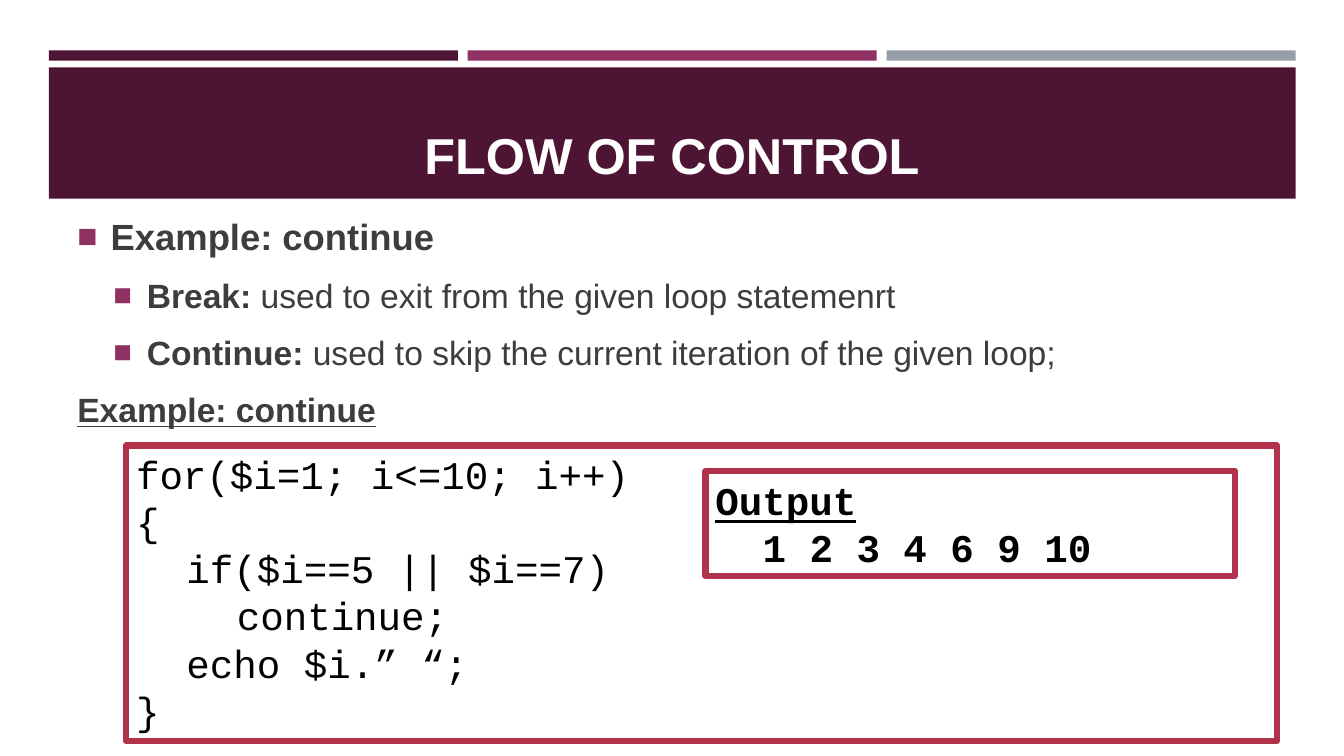
from lxml import etree
from pptx import Presentation
from pptx.dml.color import RGBColor
from pptx.enum.shapes import MSO_SHAPE
from pptx.enum.text import MSO_ANCHOR, PP_ALIGN
from pptx.oxml.ns import qn
from pptx.util import Cm, Pt

PLUM = RGBColor(0x4D, 0x14, 0x34)
MAGENTA = RGBColor(0x90, 0x31, 0x63)
GREY = RGBColor(0x96, 0x9F, 0xA7)
CRIMSON = RGBColor(0xB2, 0x32, 0x4B)
DARK = RGBColor(0x3D, 0x3D, 0x3D)
WHITE = RGBColor(0xFF, 0xFF, 0xFF)
BLACK = RGBColor(0, 0, 0)

CODE = [
    "for($i=1; i<=10; i++)",
    "{",
    "\tif($i==5 || $i==7)",
    "\t\tcontinue;",
    "\techo $i.” “;",
    "}",
]
# Each point: hanging level (None for no bullet), size, runs of (text, format)
POINTS = [
    (0, 26, [("Example: continue", {"bold": True})]),
    (1, 24, [("Break: ", {"bold": True}),
             ("used to exit from the given loop statemenrt", {})]),
    (1, 24, [("Continue: ", {"bold": True}),
             ("used to skip the current iteration of the given loop;", {})]),
    (None, 24, [("Example: continue", {"bold": True, "underline": True})]),
]


def add_run(paragraph, text, color, **font_values):
    run = paragraph.add_run()
    run.text = text
    for name, value in font_values.items():
        setattr(run.font, name, value)
    run.font.color.rgb = color


def add_rectangle(slide, box, fill, border=None):
    rectangle = slide.shapes.add_shape(MSO_SHAPE.RECTANGLE, *box)
    rectangle.shadow.inherit = False
    rectangle.fill.solid()
    rectangle.fill.fore_color.rgb = fill
    if border is None:
        rectangle.line.fill.background()
    else:
        rectangle.line.color.rgb = border
        rectangle.line.width = Pt(4.5)
    return rectangle


def add_bullet(paragraph, level):
    properties = paragraph._p.get_or_add_pPr()
    properties.set("marL", str(Cm(0.84 + 0.91 * level)))
    properties.set("indent", str(Cm(-0.84)))
    color = etree.SubElement(properties, qn("a:buClr"))
    etree.SubElement(color, qn("a:srgbClr"), val=str(MAGENTA))
    etree.SubElement(properties, qn("a:buSzPct"), val="92000")
    etree.SubElement(properties, qn("a:buFont"), typeface="Arial")
    etree.SubElement(properties, qn("a:buChar"), char="■")


def build_header(slide, left, top, width, height):
    # Three accent strips above the title band
    gap = Cm(0.25)
    strip_width = (width - 2 * gap) // 3
    for i, color in enumerate((PLUM, MAGENTA, GREY)):
        add_rectangle(slide, (left + i * (strip_width + gap), top,
                              strip_width, Cm(0.26)), color)

    # Title band with the title in front of it
    band_top = top + Cm(0.43)
    band = add_rectangle(slide, (left, band_top, width,
                                 height - Cm(0.43)), PLUM)
    title = slide.shapes.title
    band.element.addnext(title.element)
    title.left, title.top = left + Cm(0.4), band_top + Cm(0.25)
    title.width, title.height = width - Cm(0.8), Cm(2.82)
    title.text_frame.vertical_anchor = MSO_ANCHOR.BOTTOM
    heading = title.text_frame.paragraphs[0]
    heading.alignment = PP_ALIGN.CENTER
    add_run(heading, "FLOW OF CONTROL", WHITE,
            name="Arial", size=Pt(36), bold=True)


def build_points(slide, left, top, width, height):
    frame = slide.shapes.add_textbox(left, top, width, height).text_frame
    frame.word_wrap = True
    for i, (level, size, runs) in enumerate(POINTS):
        point = frame.add_paragraph() if i else frame.paragraphs[0]
        point.space_before, point.space_after = Pt(6), Pt(6)
        if level is not None:
            point.level = level
            add_bullet(point, level)
        for text, font_values in runs:
            add_run(point, text, DARK, name="Arial", size=Pt(size),
                    **font_values)


def build_code_panel(slide, box, lines):
    panel = add_rectangle(slide, box, WHITE, CRIMSON)
    frame = panel.text_frame
    frame.word_wrap = True
    frame.vertical_anchor = MSO_ANCHOR.TOP
    for i, (text, font_values) in enumerate(lines):
        line = frame.add_paragraph() if i else frame.paragraphs[0]
        line.alignment = PP_ALIGN.LEFT
        add_run(line, text, BLACK, name="Courier New", size=Pt(28),
                **font_values)
    return frame


def build_example(slide, left, top, width, height):
    build_code_panel(slide, (left, top, width, height),
                     [(text, {}) for text in CODE])
    # Output panel inside the code panel
    output = build_code_panel(
        slide, (left + Cm(14.6), top + Cm(0.64), Cm(13.34), Cm(2.64)),
        [("Output", {"bold": True, "underline": True}),
         ("1 2 3 4 6 9 10", {"bold": True})])
    numbers = output.paragraphs[1]._p.get_or_add_pPr()
    numbers.set("marL", str(Cm(1.19)))


def main():
    deck = Presentation()
    deck.slide_width, deck.slide_height = Cm(33.87), Cm(19.05)
    slide = deck.slides.add_slide(deck.slide_layouts[5])
    build_header(slide, Cm(1.23), Cm(1.27), Cm(31.42), Cm(3.74))
    build_points(slide, Cm(1.7), Cm(5.28), Cm(30.48), Cm(5.7))
    build_example(slide, Cm(3.18), Cm(11.23), Cm(29), Cm(7.44))
    deck.save("out.pptx")


if __name__ == "__main__":
    main()
